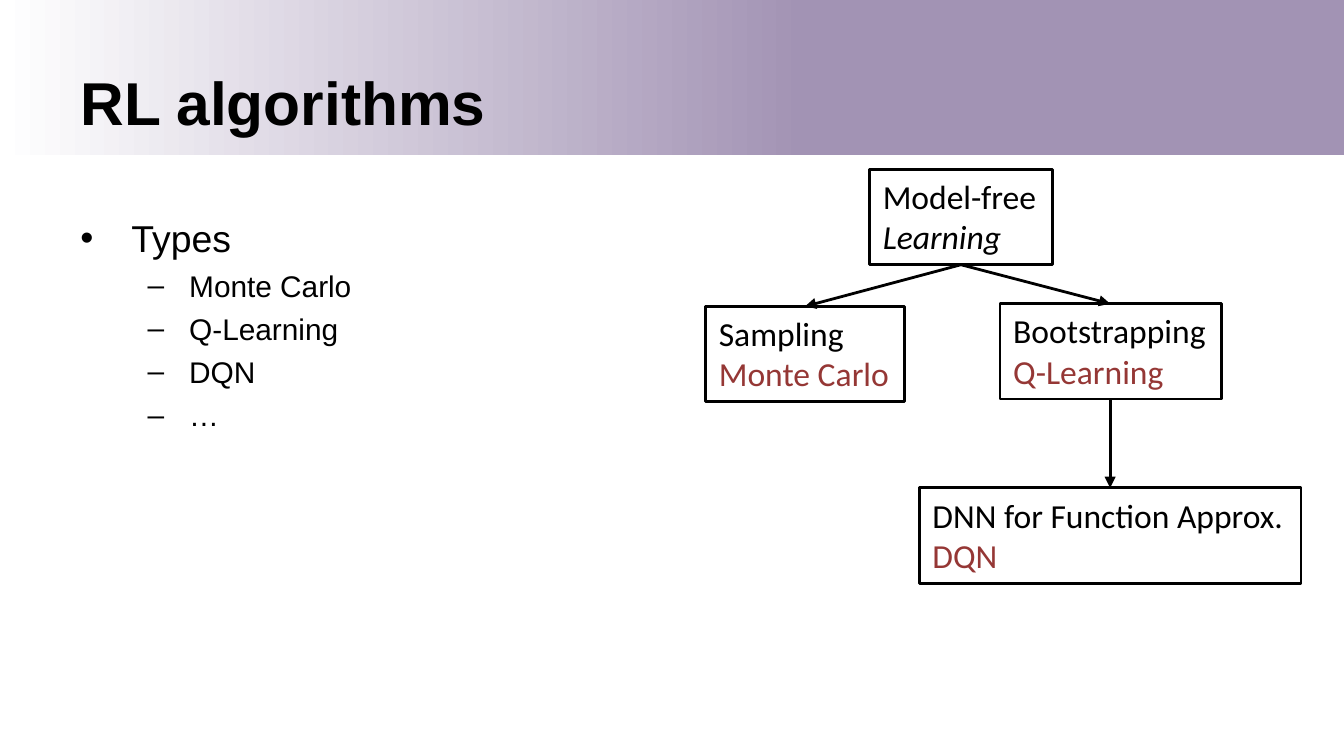
from dataclasses import dataclass

from lxml import etree
from pptx import Presentation
from pptx import util as u
from pptx.dml import color
from pptx.enum import shapes, text
from pptx.oxml import ns

PX = 9144  # EMU per px, 100 px to the inch
COLORS = {"ink": "000000", "method": "953735", "paper": "FFFFFF", "band": "A293B4"}


@dataclass(frozen=True)
class Node:
    left: int
    top: int
    width: int
    category: str
    method: str
    method_color: str = "method"
    italic: bool = False
    height: int = 71

    @property
    def center(self) -> int:
        return self.left + self.width // 2

    @property
    def bottom(self) -> int:
        return self.top + self.height


@dataclass(frozen=True)
class Bullet:
    wording: str
    size: int = 16
    mark: str = "–"
    margin: int = 81
    hanging: int = 31


def px(*lengths: int) -> list[int]:
    return [u.Emu(length * PX) for length in lengths]


def rgb(name: str) -> color.RGBColor:
    return color.RGBColor.from_string(COLORS[name])


def style(paragraph, size: float, face: str, ink: str = "ink",
          bold: bool = False, italic: bool = False) -> None:
    for run in paragraph.runs:
        font = run.font
        font.size, font.name = u.Pt(size), face
        font.bold, font.italic = bold, italic
        font.color.rgb = rgb(ink)


def add_bullet(paragraph, bullet: Bullet) -> None:
    style(paragraph, bullet.size, "Arial")
    paragraph.space_before = u.Pt(4)
    properties = paragraph._p.get_or_add_pPr()
    margin, hanging = px(bullet.margin, bullet.hanging)
    properties.set("marL", str(margin))
    properties.set("indent", str(-hanging))
    etree.SubElement(properties, ns.qn("a:buFont")).set("typeface", "Arial")
    etree.SubElement(properties, ns.qn("a:buChar")).set("char", bullet.mark)


def add_node(slide, node: Node) -> None:
    box = slide.shapes.add_shape(
        shapes.MSO_SHAPE.RECTANGLE, *px(node.left, node.top, node.width, node.height))
    box.shadow.inherit = False
    box.fill.background()
    box.line.color.rgb = rgb("ink")
    box.line.width = u.Pt(1.5)
    frame = box.text_frame
    frame.word_wrap = False
    frame.auto_size = text.MSO_AUTO_SIZE.SHAPE_TO_FIT_TEXT
    frame.vertical_anchor = text.MSO_ANCHOR.TOP
    frame.text = f"{node.category}\n{node.method}"
    category, method = frame.paragraphs
    style(category, 18, "Calibri")
    style(method, 18, "Calibri", node.method_color, italic=node.italic)
    for paragraph in frame.paragraphs:
        paragraph.alignment = text.PP_ALIGN.LEFT


def add_arrow(slide, parent: Node, child: Node) -> None:
    arrow = slide.shapes.add_connector(
        shapes.MSO_CONNECTOR.STRAIGHT,
        *px(parent.center, parent.bottom, child.center, child.top))
    arrow.line.color.rgb = rgb("ink")
    arrow.line.width = u.Pt(1.5)
    etree.SubElement(arrow.line._get_or_add_ln(), ns.qn("a:tailEnd")).set("type", "triangle")
    etree.SubElement(arrow._element.spPr, ns.qn("a:effectLst"))


def main() -> None:
    deck = Presentation()
    deck.slide_width, deck.slide_height = u.Inches(10), u.Inches(5.625)
    slide = deck.slides.add_slide(deck.slide_layouts[6])

    # Header band
    band = slide.shapes.add_shape(shapes.MSO_SHAPE.RECTANGLE, *px(0, 0, 1000, 115))
    band.shadow.inherit = False
    band.line.fill.background()
    band.fill.gradient()
    band.fill.gradient_angle = 0
    for stop, (position, name) in zip(band.fill.gradient_stops, ((0, "paper"), (0.6, "band"))):
        stop.position = position
        stop.color.rgb = rgb(name)

    # Title
    title = slide.shapes.add_textbox(*px(50, 46, 900, 59)).text_frame
    title.word_wrap = True
    title.vertical_anchor = text.MSO_ANCHOR.MIDDLE
    title.text = "RL algorithms"
    style(title.paragraphs[0], 32.4, "Arial", bold=True)

    # List of types
    bullets = [Bullet("Types", 20, "•", 38, 38)]
    bullets += [Bullet(name) for name in ("Monte Carlo", "Q-Learning", "DQN", "…")]
    types = slide.shapes.add_textbox(*px(50, 155, 900, 318)).text_frame
    types.word_wrap = True
    types.text = "\n".join(bullet.wording for bullet in bullets)
    for level, (paragraph, bullet) in enumerate(zip(types.paragraphs, bullets)):
        paragraph.level = min(level, 1)
        add_bullet(paragraph, bullet)

    # Tree of methods
    model_free = Node(647, 126, 136, "Model-free", "Learning", "ink", italic=True)
    sampling = Node(525, 228, 148, "Sampling", "Monte Carlo")
    bootstrapping = Node(744, 226, 165, "Bootstrapping", "Q-Learning")
    deep_network = Node(684, 363, 284, "DNN for Function Approx.", "DQN")
    for node in (model_free, sampling, bootstrapping, deep_network):
        add_node(slide, node)
    for parent, child in ((model_free, sampling), (model_free, bootstrapping),
                          (bootstrapping, deep_network)):
        add_arrow(slide, parent, child)

    deck.save("out.pptx")


if __name__ == "__main__":
    main()
